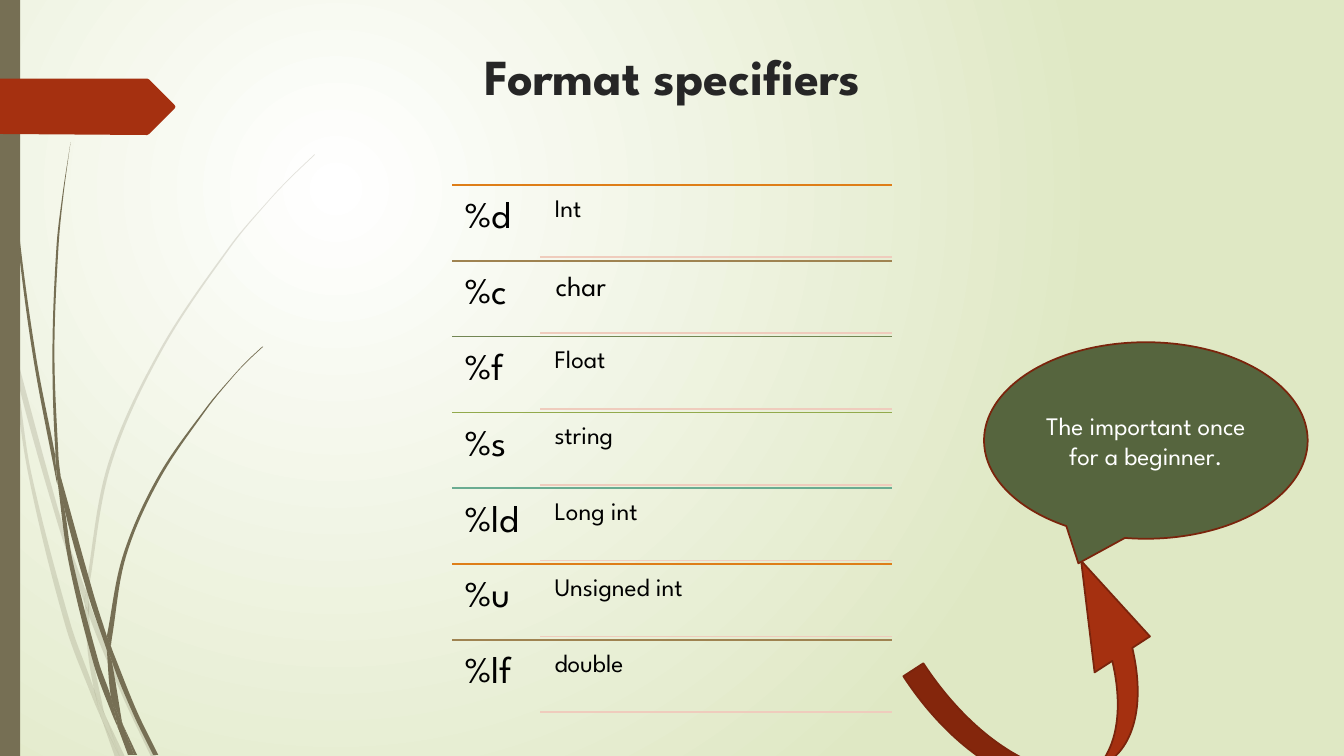
from dataclasses import dataclass

from lxml import etree
from pptx import Presentation
from pptx import util as u
from pptx.dml.color import RGBColor
from pptx.enum import shapes, text
from pptx.oxml.ns import qn

# The slide is a grid of 1333 columns by 750 rows.
COLS, ROWS = 1333, 750
CELL = u.Inches(0.01)
FONT = "League Spartan"
OLIVE, RUST, MAROON, PINK = "766F54", "A53010", "7A240C", "EFCCBD"

Point = tuple[float, float]


@dataclass
class Row:
    code: str
    kind: str
    hue: str
    size: int = 18
    pad: int = 7


@dataclass
class Blade:
    """A piece of grass between two edges, each from tip to root."""
    left: list[Point]
    right: list[Point]


SPECS = [
    Row("%d", "Int", "DE7E18"),
    Row("%c", "char", "9F8351", 20, 8),
    Row("%f", "Float", "728653"),
    Row("%s", "string", "92AA4C"),
    Row("%ld", "Long int", "6AAC91"),
    Row("%u", "Unsigned int", "DE7E18"),
    Row("%lf", "double", "9F8351"),
]

PALE = [
    Blade([(0, 299), (10, 344), (11, 350)], [(0, 282), (9, 322), (11, 350)]),
    Blade([(14, 345), (17, 376), (58, 522), (84, 599)],
          [(14, 345), (62, 520), (85, 586)]),
    Blade([(88, 596), (88, 610), (123, 694), (150, 751)],
          [(88, 596), (92, 607), (127, 692), (155, 751)]),
    Blade([(105, 711), (119, 751)], [(105, 711), (124, 751)]),
    Blade([(11, 350), (28, 470), (65, 621), (92, 693), (101, 714)],
          [(11, 350), (17, 376), (31, 469), (70, 619), (93, 683), (99, 707)]),
    Blade([(84, 599), (87, 646), (93, 683), (96, 692), (105, 711)],
          [(84, 599), (88, 608), (91, 646), (103, 706)]),
    Blade([(312, 153), (289, 175), (268, 197), (228, 244), (158, 348),
           (107, 461), (85, 584), (85, 586), (88, 596)],
          [(312, 154), (290, 175), (268, 198), (229, 245), (160, 349),
           (110, 462), (88, 584)]),
    Blade([(101, 714), (114, 751)], [(101, 714), (119, 751)]),
    Blade([(85, 586), (84, 599), (88, 608)], [(85, 586), (88, 596), (88, 610)]),
    Blade([(93, 683), (99, 707), (101, 714), (119, 751)],
          [(93, 683), (96, 692), (105, 711), (119, 751)]),
]

DARK = [
    Blade([(3, 0), (4, 48), (7, 110), (17, 233), (33, 355), (56, 477), (57, 481)],
          [(4, 0), (5, 48), (8, 109), (19, 232), (36, 355), (55, 453), (55, 457)]),
    Blade([(60, 472), (64, 505), (88, 592), (106, 645)],
          [(60, 472), (93, 590), (106, 631)]),
    Blade([(110, 641), (111, 656), (132, 708), (152, 749)],
          [(110, 641), (113, 649), (136, 706), (157, 749)]),
    Blade([(57, 477), (68, 557), (93, 659), (111, 708), (117, 722)],
          [(57, 477), (64, 505), (72, 556), (98, 657), (110, 691), (116, 717)]),
    Blade([(70, 141), (62, 193), (56, 245), (52, 349), (55, 449), (60, 472)],
          [(70, 141), (63, 193), (58, 245), (54, 349), (58, 453), (60, 472)]),
    Blade([(122, 719), (133, 749)], [(122, 719), (136, 749)]),
    Blade([(55, 449), (55, 453), (57, 477), (64, 505)],
          [(55, 449), (60, 472), (64, 505)]),
    Blade([(260, 344), (245, 358), (231, 373), (204, 405), (156, 474),
           (122, 551), (106, 631)],
          [(261, 344), (245, 359), (231, 374), (205, 406), (158, 476),
           (125, 552), (111, 633), (110, 641)]),
    Blade([(117, 722), (127, 749)], [(117, 722), (131, 749)]),
    Blade([(106, 645), (110, 691), (116, 706), (122, 719)],
          [(106, 645), (109, 651), (111, 656), (121, 716)]),
    Blade([(106, 631), (106, 645), (109, 651)],
          [(106, 631), (110, 641), (111, 656)]),
    Blade([(110, 691), (116, 717), (117, 722), (130, 749)],
          [(110, 691), (116, 706), (122, 719), (133, 749)]),
]


def rgb(code: str) -> RGBColor:
    return RGBColor.from_string(code)


def grid(*spans: float) -> list[int]:
    return [round(span * CELL) for span in spans]


def paint(shape, fill: str, edge: str = "") -> None:
    shape.shadow.inherit = False
    shape.fill.solid()
    shape.fill.fore_color.rgb = rgb(fill)
    if edge:
        shape.line.color.rgb = rgb(edge)
        shape.line.width = u.Pt(1.25)
    else:
        shape.line.fill.background()


def trace(slide, pts: list[Point], fill: str):
    spots = [grid(*pt) for pt in pts]
    pen = slide.shapes.build_freeform(*spots[0])
    pen.add_line_segments(spots[1:], close=True)
    shape = pen.convert_to_shape()
    paint(shape, fill)
    return shape


def aim(a: complex, b: complex) -> complex:
    return (b - a) / (abs(b - a) or 1)


def bend(leaf, split: int) -> None:
    """Turn the sides of both edges, which meet at split, into curves."""
    knots = list(leaf.element.spPr.iter(qn("a:pt")))
    pts = [complex(int(k.get("x")), int(k.get("y"))) for k in knots]
    for low, high in ((0, split), (split, len(pts))):
        for i in range(low + 1, high):
            a, b = pts[i - 1], pts[i]
            reach = abs(b - a) / 3
            pulls = (a + reach * aim(pts[max(i - 2, low)], b),
                     b - reach * aim(a, pts[min(i + 1, high - 1)]))
            side = knots[i].getparent()
            side.tag = qn("a:cubicBezTo")
            for at, pull in enumerate(pulls):
                side.insert(at, etree.Element(qn("a:pt"), x=str(round(pull.real)),
                                              y=str(round(pull.imag))))


def grow(slide, blades: list[Blade], alpha: int = 100) -> None:
    for blade in blades:
        leaf = trace(slide, blade.left + blade.right[::-1], OLIVE)
        bend(leaf, len(blade.left))
        if alpha < 100:
            tint = next(leaf.element.spPr.iter(qn("a:srgbClr")))
            etree.SubElement(tint, qn("a:alpha"), val=str(alpha * 1000))


def rule(slide, left: float, right: float, top: float, hue: str) -> None:
    line = slide.shapes.add_connector(
        shapes.MSO_CONNECTOR.STRAIGHT, *grid(left, top, right, top))
    line.line.color.rgb = rgb(hue)
    line.line.width = u.Pt(1.25)
    etree.SubElement(line.element.spPr, qn("a:effectLst"))


def style(frame, words: str, size: int, hue: str, bold: bool = False):
    frame.word_wrap = True
    frame.text = words
    par = frame.paragraphs[0]
    font = par.runs[0].font
    font.name, font.size, font.bold = FONT, u.Pt(size), bold
    font.color.rgb = rgb(hue)
    return par


def label(slide, box: list[int], words: str, size: int, pad: int) -> None:
    frame = slide.shapes.add_textbox(*box).text_frame
    frame.margin_left = frame.margin_right = pad * CELL
    frame.margin_top = frame.margin_bottom = pad * CELL
    style(frame, words, size, "000000").line_spacing = 0.9


def backdrop(slide) -> None:
    """Fill the slide with a glow centred in its upper left quarter."""
    fill = slide.background.fill
    fill.gradient()
    for stop, hue, place in zip(fill.gradient_stops, ("FFFFFF", "DFE8C4"), (0, 1)):
        stop.color.rgb = rgb(hue)
        stop.position = place
    grad = next(slide.element.iter(qn("a:gradFill")))
    grad.remove(grad.find(qn("a:lin")))
    glow = etree.SubElement(grad, qn("a:path"), {"path": "circle"})
    etree.SubElement(glow, qn("a:fillToRect"),
                     l="50000", t="50000", r="100000", b="100000")


def table(slide) -> None:
    first, last = 183.3, 635
    pitch = (last - first) / (len(SPECS) - 1)
    for i, row in enumerate(SPECS):
        top = first + i * pitch
        rule(slide, 448.7, 884.3, top, row.hue)
        label(slide, grid(449.5, top, 87, pitch), row.code, 27, 11)
        label(slide, grid(543, top + 3.5, 341, 68), row.kind, row.size, row.pad)
        rule(slide, 536, 884.3, top + 71.7, PINK)


def main() -> None:
    deck = Presentation()
    deck.slide_width, deck.slide_height = grid(COLS, ROWS)
    slide = deck.slides.add_slide(deck.slide_layouts[6])
    kinds = shapes.MSO_SHAPE
    backdrop(slide)
    grow(slide, PALE, 20)
    grow(slide, DARK)

    band = slide.shapes.add_shape(kinds.RECTANGLE, *grid(0, 0, 20, ROWS))
    paint(band, OLIVE)
    trace(slide, [(0, 78), (146, 78), (148, 79), (173, 104), (174, 106),
                  (173, 108), (148, 133), (146, 134), (0, 133)], RUST)

    title = slide.shapes.add_textbox(*grid(92, 40, 1150, 105))
    par = style(title.text_frame, "Format specifiers", 36, "262626", True)
    par.alignment = text.PP_ALIGN.CENTER
    table(slide)

    arrow = slide.shapes.add_shape(
        kinds.CURVED_UP_ARROW, *grid(926, 590, 243, 182))
    for i, share in enumerate((0.13, 0.36, 0.55)):
        arrow.adjustments[i] = share
    arrow.rotation = 327
    paint(arrow, RUST, MAROON)

    note = slide.shapes.add_shape(kinds.OVAL_CALLOUT, *grid(976, 339.5, 321, 195))
    paint(note, "56653E", MAROON)
    note.text_frame.vertical_anchor = text.MSO_ANCHOR.MIDDLE
    par = style(note.text_frame, "The important once for a beginner.", 18, "FFFFFF")
    par.alignment = text.PP_ALIGN.CENTER
    deck.save("out.pptx")


if __name__ == "__main__":
    main()
